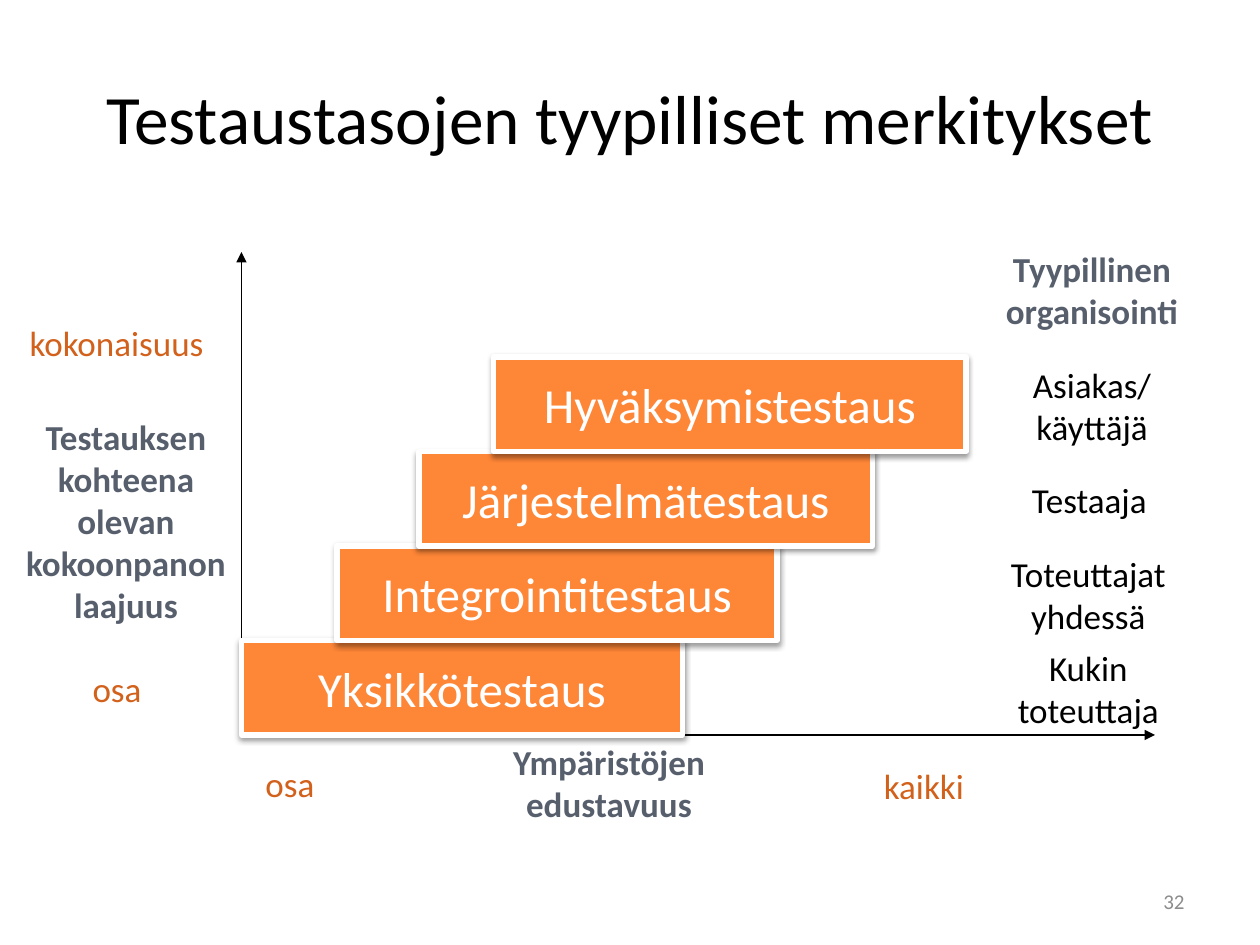
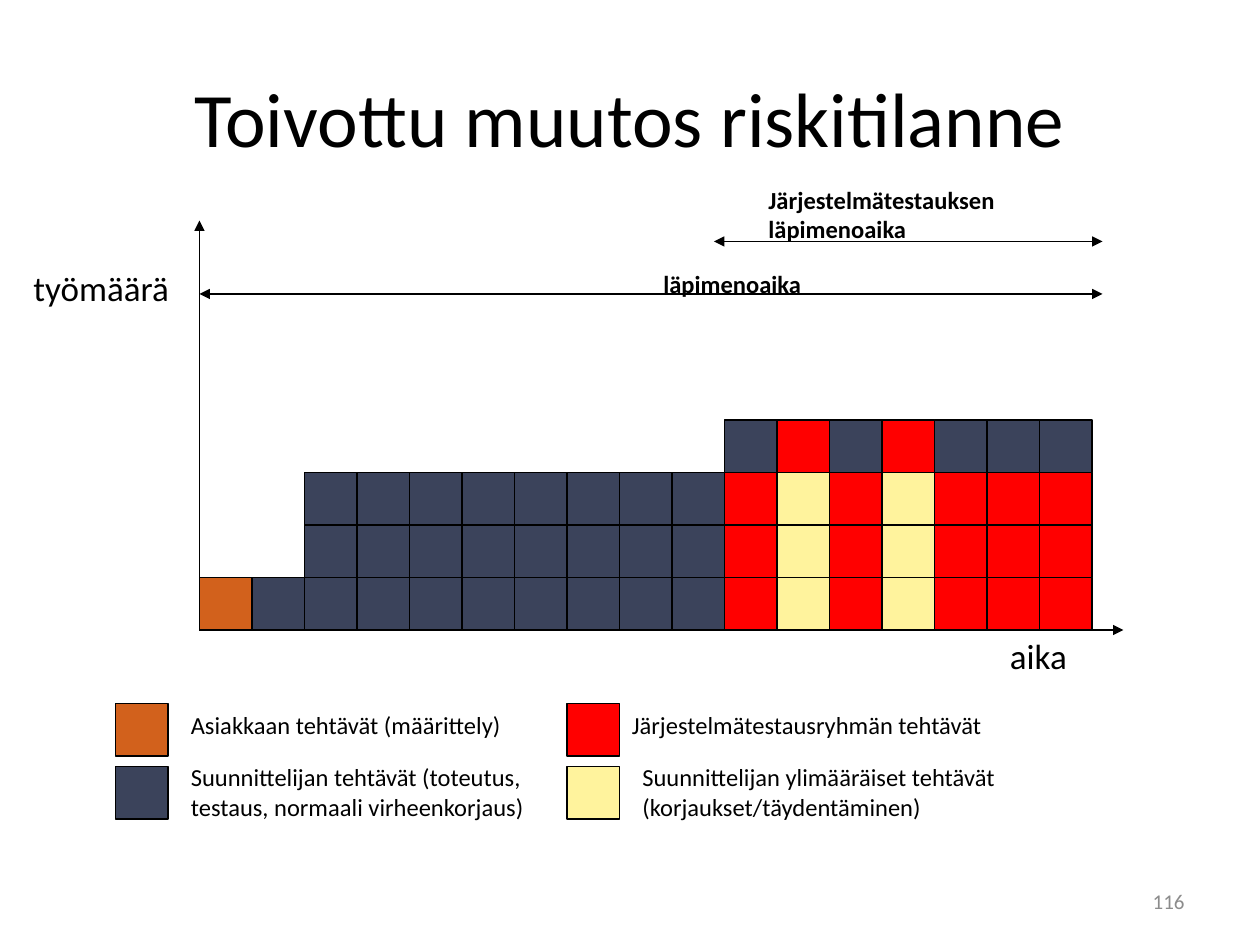
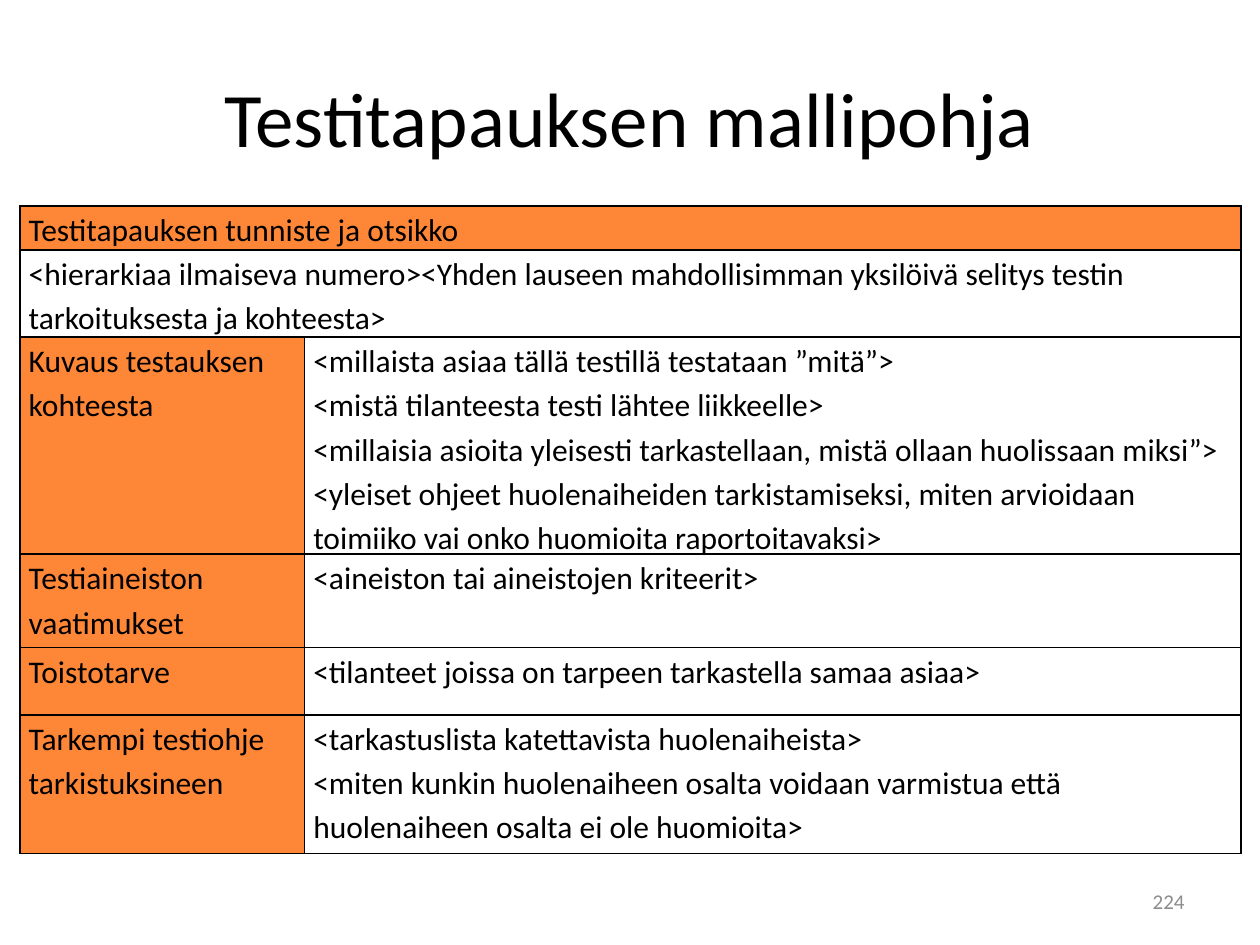
from lxml import etree
from pptx import Presentation
from pptx import util as u
from pptx.dml.color import RGBColor
from pptx.enum import shapes, text
from pptx.oxml import parse_xml
from pptx.oxml.ns import nsdecls, qn

FONT = "Calibri"
BLACK, WHITE, GREY = "000000", "FFFFFF", "8C8C8C"
ORANGE, RUST, SLATE, NAVY = "FE8637", "D2611C", "575F6D", "3B435B"
RED, YELLOW = "FF0000", "FFF39D"
LEFT, CENTER, RIGHT = text.PP_ALIGN.LEFT, text.PP_ALIGN.CENTER, text.PP_ALIGN.RIGHT
MIDDLE = text.MSO_ANCHOR.MIDDLE
COLUMNS, ROWS = 120, 90
SLIDE_W, SLIDE_H = u.Inches(10), u.Inches(7.5)
BLOCK = 5


def rgb(color):
    return RGBColor.from_string(color)


def x(columns):
    return round(SLIDE_W * columns / COLUMNS)


def y(rows):
    return round(SLIDE_H * rows / ROWS)


def write(tf, content, size=20, color=BLACK, bold=False, align=LEFT, spacing=None, anchor=None):
    if anchor is not None:
        tf.vertical_anchor = anchor
    for i, line in enumerate(content.split("\n")):
        p = tf.paragraphs[0] if i == 0 else tf.add_paragraph()
        p.text = line
        p.alignment = align
        if spacing:
            p.line_spacing = spacing
        for r in p.runs:
            r.font.name, r.font.size, r.font.bold = FONT, u.Pt(size), bold
            r.font.color.rgb = rgb(color)


def add_label(s, content, left, top, width, lines=1, size=20, **fmt):
    height = u.Pt(size * 1.2 * lines) + u.Inches(0.1)
    tf = s.shapes.add_textbox(x(left), y(top), x(width), height).text_frame
    tf.word_wrap = True
    write(tf, content, size=size, **fmt)


def add_box(s, left, top, width, height, fill, line=BLACK, weight=0.75):
    sp = s.shapes.add_shape(shapes.MSO_SHAPE.RECTANGLE, x(left), y(top), x(width), y(height))
    sp.shadow.inherit = False
    sp.fill.solid()
    sp.fill.fore_color.rgb = rgb(fill)
    sp.line.color.rgb = rgb(line)
    sp.line.width = u.Pt(weight)
    return sp


def add_shadow(sp):
    effects = sp._element.spPr.find(qn("a:effectLst"))
    effects.append(parse_xml(
        f'<a:outerShdw {nsdecls("a")} blurRad="{u.Pt(3.1)}" dist="{u.Pt(1.6)}" dir="5400000" '
        f'rotWithShape="0"><a:srgbClr val="{BLACK}"><a:alpha val="38000"/></a:srgbClr></a:outerShdw>'))


def add_arrow(s, x1, y1, x2, y2, both=False):
    cx = s.shapes.add_connector(shapes.MSO_CONNECTOR.STRAIGHT, x(x1), y(y1), x(x2), y(y2))
    cx.line.color.rgb = rgb(BLACK)
    cx.line.width = u.Pt(0.75)
    ln = cx.line._get_or_add_ln()
    for end in (["headEnd"] if both else []) + ["tailEnd"]:
        etree.SubElement(ln, qn(f"a:{end}"), type="triangle")
    etree.SubElement(cx._element.spPr, qn("a:effectLst"))


def add_axes(s, left, bottom, right, top):
    add_arrow(s, left, bottom, left, top)
    add_arrow(s, left, bottom, right, bottom)


def format_cell(cell, content, fill):
    tcPr = cell._tc.get_or_add_tcPr()
    for side in "LRTB":
        tcPr.append(parse_xml(
            f'<a:ln{side} {nsdecls("a")} w="{u.Pt(1)}"><a:solidFill><a:srgbClr val="{BLACK}"/>'
            f'</a:solidFill></a:ln{side}>'))
    if fill:
        cell.fill.solid()
        cell.fill.fore_color.rgb = rgb(fill)
    else:
        cell.fill.background()
    cell.margin_left = cell.margin_right = u.Inches(0.07)
    cell.margin_top = cell.margin_bottom = 0
    write(cell.text_frame, content, size=18, spacing=1.15)


def add_slide(prs, title, number, size=44):
    s = prs.slides.add_slide(prs.slide_layouts[5])
    sp = s.shapes.title
    sp.left, sp.top, sp.width, sp.height = x(6), y(3.6), x(108), y(15)
    sp.text_frame.auto_size = text.MSO_AUTO_SIZE.NONE
    write(sp.text_frame, title, size=size, align=CENTER, anchor=MIDDLE)
    tf = s.shapes.add_textbox(x(86), y(83.4), x(28), y(4.8)).text_frame
    tf.word_wrap = True
    write(tf, str(number), size=12, color=GREY, align=RIGHT, anchor=MIDDLE)
    return s


def add_levels_slide(prs):
    s = add_slide(prs, "Testaustasojen tyypilliset merkitykset", 32, size=39.6)
    add_axes(s, 23, 70, 110, 24)
    levels = [("Yksikkötestaus", 23, 42), ("Integrointitestaus", 32.1, 41.9),
              ("Järjestelmätestaus", 39.9, 43.2), ("Hyväksymistestaus", 47, 45)]
    for i, (name, left, width) in enumerate(levels):
        sp = add_box(s, left, 61 - 9 * i, width, 9, ORANGE, line=WHITE, weight=3)
        add_shadow(sp)
        sp.text_frame.word_wrap = False
        write(sp.text_frame, name, size=28, color=WHITE, align=CENTER, anchor=MIDDLE)

    headings = [("Testauksen kohteena olevan kokoonpanon laajuus", 0, 39, 24, 5),
                ("Ympäristöjen edustavuus", 46, 69.9, 24, 2),
                ("Tyypillinen organisointi", 92, 23, 24, 2)]
    for heading in headings:
        add_label(s, *heading, color=SLATE, bold=True, align=CENTER)

    scale_ends = [("osa", 2.4, 63, 17.5, CENTER), ("kokonaisuus", 0, 30, 22.2, CENTER),
                  ("kaikki", 83, 72.2, 17.5, LEFT), ("osa", 24.1, 72, 17.5, LEFT)]
    for *place, align in scale_ends:
        add_label(s, *place, color=RUST, align=align)

    organisers = [("Asiakas/\vkäyttäjä", 90, 34, 28, 2), ("Testaaja", 95, 45, 17.5, 1),
                  ("Toteuttajat yhdessä", 92, 52, 23.3, 2), ("Kukin toteuttaja", 92, 61, 23.3, 2)]
    for organiser in organisers:
        add_label(s, *organiser, align=CENTER)


def add_workload_slide(prs):
    s = add_slide(prs, "Toivottu muutos riskitilanne", 116)
    left, bottom = 19, 60
    add_axes(s, left, bottom, 107, 21)
    add_label(s, "työmäärä", 2, 24.8, 17)
    add_label(s, "aika", 95, 59.8, 16)

    planned, tested, reworked = [NAVY] * 3, [RED] * 3 + [NAVY], [YELLOW] * 3 + [RED]
    stacks = [[RUST], [NAVY]] + [planned] * 8 + [tested, reworked] * 2 + [tested] * 3
    for column, stack in enumerate(stacks):
        for level, color in enumerate(stack, 1):
            add_box(s, left + BLOCK * column, bottom - BLOCK * level, BLOCK, BLOCK, color)

    add_arrow(s, 68, 23, 105, 23, both=True)
    add_arrow(s, left, 28, 105, 28, both=True)
    add_label(s, "läpimenoaika", 62, 25, 23, size=14, bold=True)
    add_label(s, "Järjestelmätestauksen läpimenoaika", 72, 17, 32, lines=2, size=14, bold=True)

    legend = [
        (RUST, 11, 67, "Asiakkaan tehtävät (määrittely)", 17, 67, 35, 1),
        (NAVY, 11, 73, "Suunnittelijan tehtävät (toteutus, testaus, normaali virheenkorjaus)",
         17, 72, 37, 2),
        (RED, 54, 67, "Järjestelmätestausryhmän tehtävät", 59, 67, 40, 1),
        (YELLOW, 54, 73, "Suunnittelijan ylimääräiset tehtävät (korjaukset/täydentäminen)",
         60, 72, 48, 2)]
    for color, key_left, key_top, *label in legend:
        add_box(s, key_left, key_top, BLOCK, BLOCK, color)
        add_label(s, *label, size=14)


def add_template_slide(prs):
    s = add_slide(prs, "Testitapauksen mallipohja", 224)
    rows = [
        ("Testitapauksen tunniste ja otsikko", None, ORANGE, 4.2),
        ("<hierarkiaa ilmaiseva numero><Yhden lauseen mahdollisimman yksilöivä selitys testin "
         "tarkoituksesta ja kohteesta>", None, None, 7.1),
        ("Kuvaus testauksen kohteesta",
         "<millaista asiaa tällä testillä testataan ”mitä”>\n"
         "<mistä tilanteesta testi lähtee liikkeelle>\n"
         "<millaisia asioita yleisesti tarkastellaan, mistä ollaan huolissaan miksi”>\n"
         "<yleiset ohjeet huolenaiheiden tarkistamiseksi, miten arvioidaan toimiiko vai onko "
         "huomioita raportoitavaksi>", ORANGE, 18.7),
        ("Testiaineiston vaatimukset", "<aineiston tai aineistojen kriteerit>", ORANGE, 8.9),
        ("Toistotarve", "<tilanteet joissa on tarpeen tarkastella samaa asiaa>", ORANGE, 6.4),
        ("Tarkempi testiohje tarkistuksineen",
         "<tarkastuslista katettavista huolenaiheista>\n"
         "<miten kunkin huolenaiheen osalta voidaan varmistua että huolenaiheen osalta ei ole "
         "huomioita>", ORANGE, 13.2)]
    widths = (27.1, 89.2)
    frame = s.shapes.add_table(len(rows), 2, x(1.9), y(19.6), x(sum(widths)), y(61.6))
    table = frame.table
    table.first_row = table.horz_banding = False
    for column, width in zip(table.columns, widths):
        column.width = x(width)
    for i, (heading, guide, fill, height) in enumerate(rows):
        table.rows[i].height = y(height)
        first, second = table.cell(i, 0), table.cell(i, 1)
        format_cell(first, heading, fill)
        format_cell(second, guide or "", None)
        if guide is None:
            first.merge(second)


def main():
    prs = Presentation()
    prs.slide_width, prs.slide_height = SLIDE_W, SLIDE_H
    add_levels_slide(prs)
    add_workload_slide(prs)
    add_template_slide(prs)
    prs.save("out.pptx")


if __name__ == "__main__":
    main()
